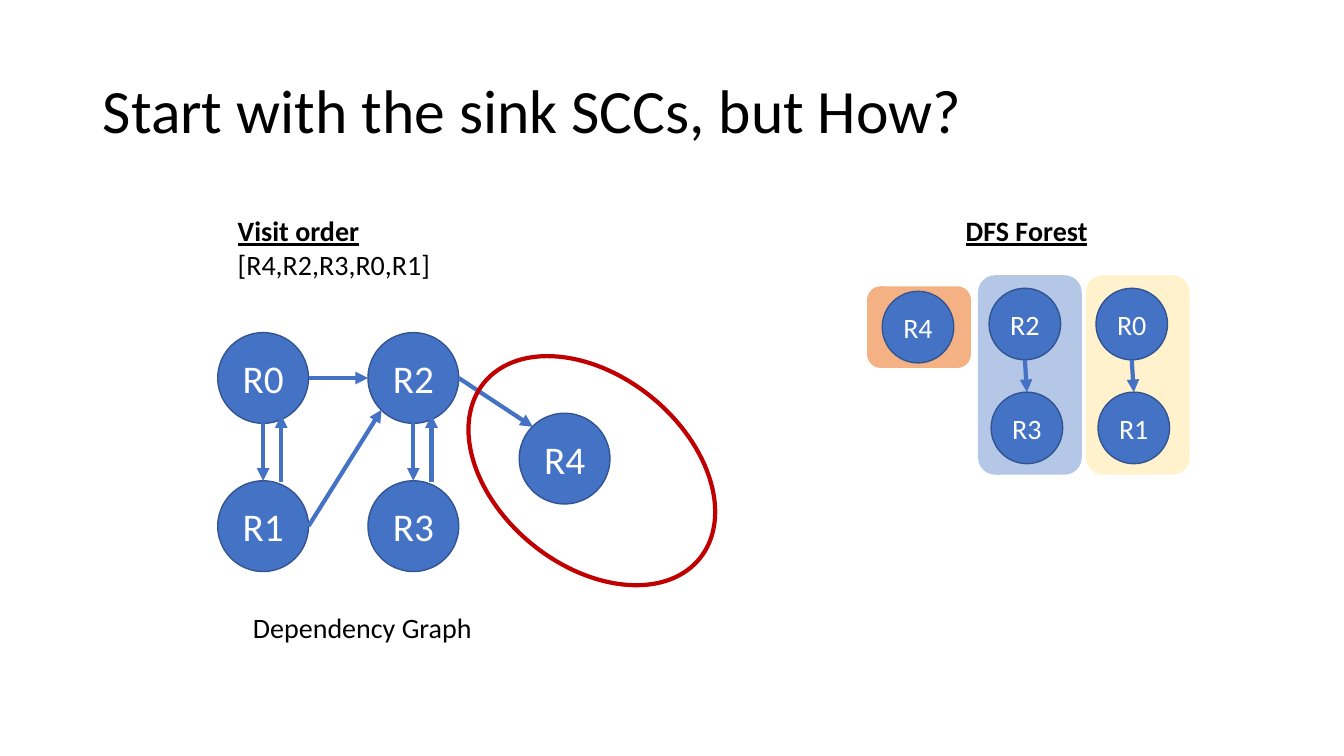
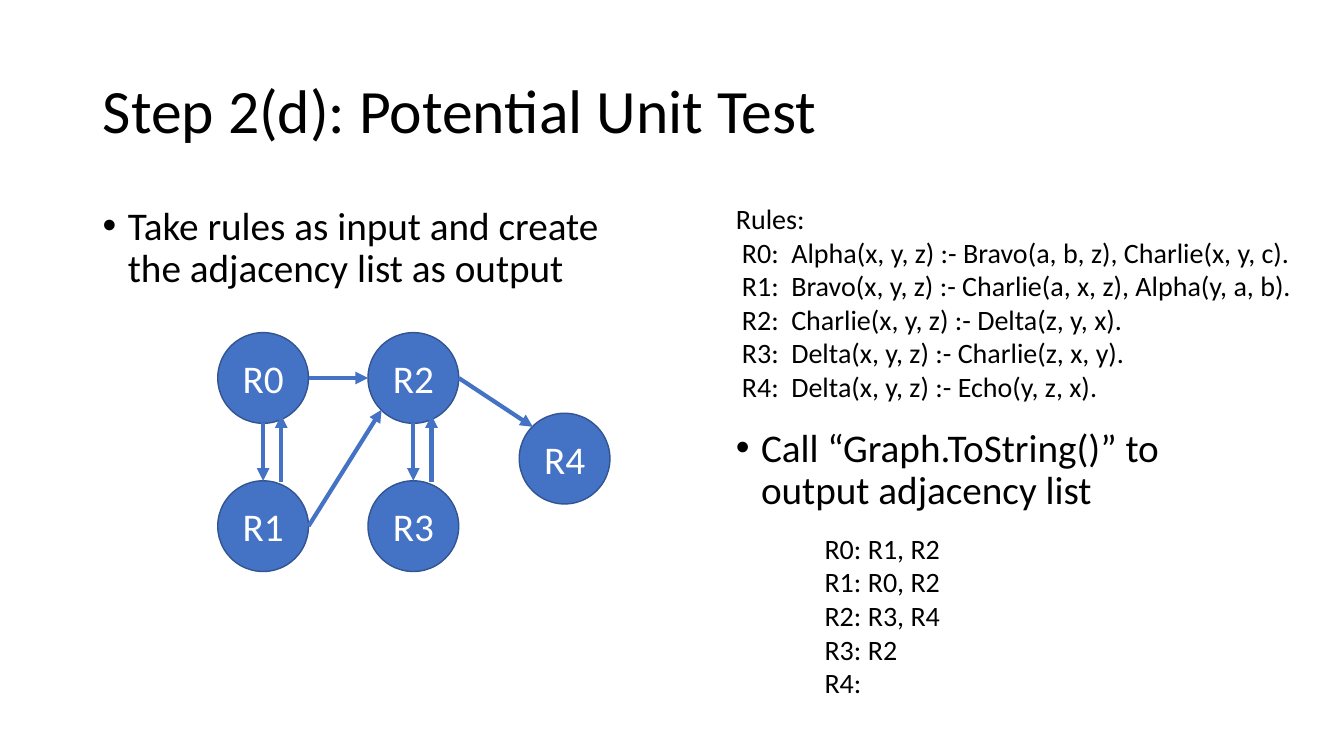
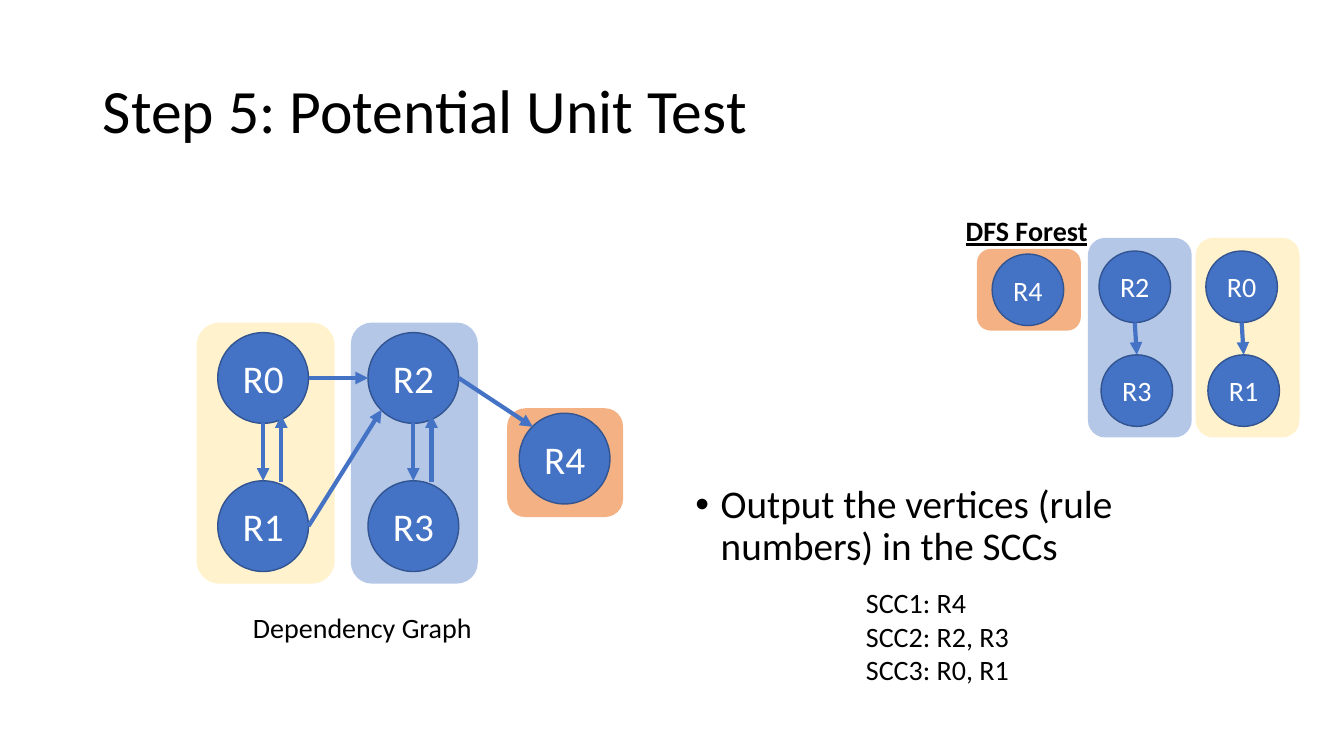
from lxml import etree
from pptx import Presentation
from pptx.dml.color import RGBColor
from pptx.enum.shapes import MSO_CONNECTOR, MSO_SHAPE
from pptx.enum.text import MSO_ANCHOR, MSO_AUTO_SIZE, PP_ALIGN
from pptx.oxml.ns import qn
from pptx.util import Inches, Pt

# Shared style
BLACK = RGBColor(0x00, 0x00, 0x00)
WHITE = RGBColor(0xFF, 0xFF, 0xFF)
BLUE = RGBColor(0x44, 0x72, 0xC4)
DARK_BLUE = RGBColor(0x32, 0x54, 0x91)
RED = RGBColor(0xC0, 0x00, 0x00)
ORANGE = RGBColor(0xF4, 0xB1, 0x83)
PALE_BLUE = RGBColor(0xB4, 0xC7, 0xE7)
PALE_YELLOW = RGBColor(0xFF, 0xF2, 0xCC)
FONT = "Calibri"
TITLE_SIZE, BULLET_SIZE, TEXT_SIZE = 44, 28, 20

OVAL, ROUNDED = MSO_SHAPE.OVAL, MSO_SHAPE.ROUNDED_RECTANGLE
STRAIGHT = MSO_CONNECTOR.STRAIGHT
MIDDLE, TOP_ANCHOR = MSO_ANCHOR.MIDDLE, MSO_ANCHOR.TOP
LEFT_ALIGN, CENTER = PP_ALIGN.LEFT, PP_ALIGN.CENTER
NO_AUTOFIT = MSO_AUTO_SIZE.NONE
TITLE_ONLY = 5

# Where an edge meets a node, as fractions of the node's diameter
TOP, LEFT, BOTTOM, RIGHT = (0.5, 0), (0, 0.5), (0.5, 1), (1, 0.5)
UPPER_LEFT, LOWER_LEFT = (0.15, 0.15), (0.15, 0.85)
RETURN_START, RETURN_END = (0.7, 0.01), (0.7, 0.91)

# Dependency graph
GRAPH_DIAMETER = 0.9
GRAPH_NODES = {
    "R0": (2.16, 3.3), "R1": (2.16, 4.77),
    "R2": (3.65, 3.3), "R3": (3.65, 4.77),
    "R4": (5.15, 4.1),
}
GRAPH_EDGES = [
    ("R0", BOTTOM, "R1", TOP),
    ("R0", RIGHT, "R2", LEFT),
    ("R1", RETURN_START, "R0", RETURN_END),
    ("R1", RIGHT, "R2", LOWER_LEFT),
    ("R2", BOTTOM, "R3", TOP),
    ("R3", RETURN_START, "R2", RETURN_END),
    ("R2", RIGHT, "R4", UPPER_LEFT),
]

# DFS forest, measured from its top left corner
FOREST_DIAMETER = 0.71
FOREST_PANELS = [
    (0, 0.11, 0.81, ORANGE),
    (1.1, 0, 1.98, PALE_BLUE),
    (2.17, 0, 1.98, PALE_YELLOW),
]
FOREST_NODES = {
    "R4": (0.15, 0.16),
    "R2": (1.21, 0.13), "R3": (1.23, 1.16),
    "R0": (2.27, 0.13), "R1": (2.29, 1.16),
}
FOREST_EDGES = [("R2", BOTTOM, "R3", TOP), ("R0", BOTTOM, "R1", TOP)]


def set_font(paragraph, size, color=BLACK):
    paragraph.font.name = FONT
    paragraph.font.size = Pt(size)
    paragraph.font.color.rgb = color


def set_indent(paragraph, margin, hanging):
    properties = paragraph._p.get_or_add_pPr()
    properties.set("marL", str(Inches(margin)))
    properties.set("indent", str(-Inches(hanging)))
    return properties


def add_page(deck, title):
    page = deck.slides.add_slide(deck.slide_layouts[TITLE_ONLY])
    box = page.shapes.title
    box.left, box.top = Inches(0.92), Inches(0.4)
    box.width, box.height = Inches(11.5), Inches(1.45)
    frame = box.text_frame
    frame.text = title
    frame.auto_size = NO_AUTOFIT
    frame.vertical_anchor = MIDDLE
    paragraph = frame.paragraphs[0]
    paragraph.alignment = LEFT_ALIGN
    paragraph.line_spacing = 0.9
    set_font(paragraph, TITLE_SIZE)
    return page


def add_text(page, left, top, width, height, lines, size=TEXT_SIZE, wrap=False):
    box = page.shapes.add_textbox(
        Inches(left), Inches(top), Inches(width), Inches(height))
    frame = box.text_frame
    frame.word_wrap = wrap
    frame.vertical_anchor = TOP_ANCHOR
    frame.text = "\n".join(lines)
    for paragraph in frame.paragraphs:
        set_font(paragraph, size)
    return frame.paragraphs


def add_heading(page, left, top, width, height, lines):
    heading = add_text(page, left, top, width, height, lines)[0]
    heading.font.bold = True
    heading.font.underline = True


def add_bullet(page, left, top, height, text):
    paragraph = add_text(page, left, top, 5.53, height, [text],
                         BULLET_SIZE, wrap=True)[0]
    paragraph.line_spacing = 0.9
    properties = set_indent(paragraph, 0.25, 0.25)
    # Bullet elements come before the default run properties
    bullet_font = etree.Element(qn("a:buFont"), typeface="Arial")
    bullet = etree.Element(qn("a:buChar"), char="•")
    defaults = properties.find(qn("a:defRPr"))
    defaults.addprevious(bullet_font)
    defaults.addprevious(bullet)


def add_panel(page, left, top, width, height, color):
    panel = page.shapes.add_shape(
        ROUNDED, Inches(left), Inches(top), Inches(width), Inches(height))
    panel.shadow.inherit = False
    panel.fill.solid()
    panel.fill.fore_color.rgb = color
    panel.line.fill.background()


def add_node(page, left, top, diameter, name, size):
    node = page.shapes.add_shape(
        OVAL, Inches(left), Inches(top), Inches(diameter), Inches(diameter))
    node.shadow.inherit = False
    node.fill.solid()
    node.fill.fore_color.rgb = BLUE
    node.line.color.rgb = DARK_BLUE
    node.line.width = Pt(1)
    frame = node.text_frame
    frame.word_wrap = False
    frame.vertical_anchor = MIDDLE
    frame.text = name
    frame.paragraphs[0].alignment = CENTER
    set_font(frame.paragraphs[0], size, WHITE)


def add_arrow(page, start, end):
    arrow = page.shapes.add_connector(
        STRAIGHT, *(Inches(value) for value in (*start, *end)))
    arrow.line.color.rgb = BLUE
    arrow.line.width = Pt(3)
    etree.SubElement(arrow.line._get_or_add_ln(), qn("a:tailEnd"), type="triangle")
    etree.SubElement(arrow._element.spPr, qn("a:effectLst"))


def add_graph(page, nodes, edges, diameter, size, origin=(0, 0)):
    places = {name: (origin[0] + x, origin[1] + y)
              for name, (x, y) in nodes.items()}

    def locate(name, port):
        return [place + part * diameter for place, part in zip(places[name], port)]

    for name, (left, top) in places.items():
        add_node(page, left, top, diameter, name, size)
    for source, source_port, target, target_port in edges:
        add_arrow(page, locate(source, source_port), locate(target, target_port))


def add_dependency_graph(page):
    add_graph(page, GRAPH_NODES, GRAPH_EDGES, GRAPH_DIAMETER, BULLET_SIZE)


def add_graph_caption(page):
    add_text(page, 2.41, 6.01, 2.39, 0.44, ["Dependency Graph"])


def add_forest(page, left, top):
    for x, y, height, color in FOREST_PANELS:
        add_panel(page, left + x, top + y, 1.03, height, color)
    add_graph(page, FOREST_NODES, FOREST_EDGES, FOREST_DIAMETER, TEXT_SIZE,
              (left, top))
    add_heading(page, 9.48, 2.07, 1.42, 0.44, ["DFS Forest"])


def add_sink_marker(page):
    marker = page.shapes.add_shape(
        OVAL, Inches(4.49), Inches(3.73), Inches(2.76), Inches(1.88))
    marker.rotation = 39.2
    marker.shadow.inherit = False
    marker.fill.background()
    marker.line.color.rgb = RED
    marker.line.width = Pt(3)


def build_sink_page(deck):
    page = add_page(deck, "Start with the sink SCCs, but How?")
    add_graph_caption(page)
    add_heading(page, 2.26, 2.07, 2.13, 0.77, ["Visit order", "[R4,R2,R3,R0,R1]"])
    add_dependency_graph(page)
    add_forest(page, 8.6, 2.73)
    add_sink_marker(page)


def build_adjacency_page(deck):
    page = add_page(deck, "Step 2(d): Potential Unit Test")
    rules = add_text(page, 7.2, 1.95, 5.76, 2.79, [
        "Rules:",
        "R0:\tAlpha(x, y, z) :- Bravo(a, b, z), Charlie(x, y, c).",
        "R1:\tBravo(x, y, z) :- Charlie(a, x, z), Alpha(y, a, b).",
        "R2:\tCharlie(x, y, z) :- Delta(z, y, x).",
        "R3:\tDelta(x, y, z) :- Charlie(z, x, y).",
        "R4:\tDelta(x, y, z) :- Echo(y, z, x).",
    ], wrap=True)
    for rule in rules[1:]:
        set_indent(rule, 0.55, 0.49)
    add_bullet(page, 0.92, 2, 4.76,
               "Take rules as input and create the adjacency list as output")
    add_dependency_graph(page)
    add_bullet(page, 7.2, 4.2, 2.97,
               "Call “Graph.ToString()” to output adjacency list")
    add_text(page, 8.08, 5.22, 1.36, 1.78,
             ["R0: R1, R2", "R1: R0, R2", "R2: R3, R4", "R3: R2", "R4:"])


def build_components_page(deck):
    page = add_page(deck, "Step 5: Potential Unit Test")
    add_panel(page, 5.03, 4.05, 1.15, 1.08, ORANGE)
    add_panel(page, 3.48, 3.2, 1.26, 2.59, PALE_BLUE)
    add_panel(page, 1.95, 3.2, 1.37, 2.59, PALE_YELLOW)
    add_graph_caption(page)
    add_bullet(page, 6.8, 4.76, 4.76,
               "Output the vertices (rule numbers) in the SCCs")
    add_dependency_graph(page)
    add_forest(page, 9.69, 2.36)
    add_text(page, 8.49, 5.76, 1.63, 1.11,
             ["SCC1: R4", "SCC2: R2, R3", "SCC3: R0, R1"])


def main():
    deck = Presentation()
    deck.slide_width, deck.slide_height = Inches(13.33), Inches(7.5)
    build_sink_page(deck)
    build_adjacency_page(deck)
    build_components_page(deck)
    deck.save("out.pptx")


if __name__ == "__main__":
    main()
